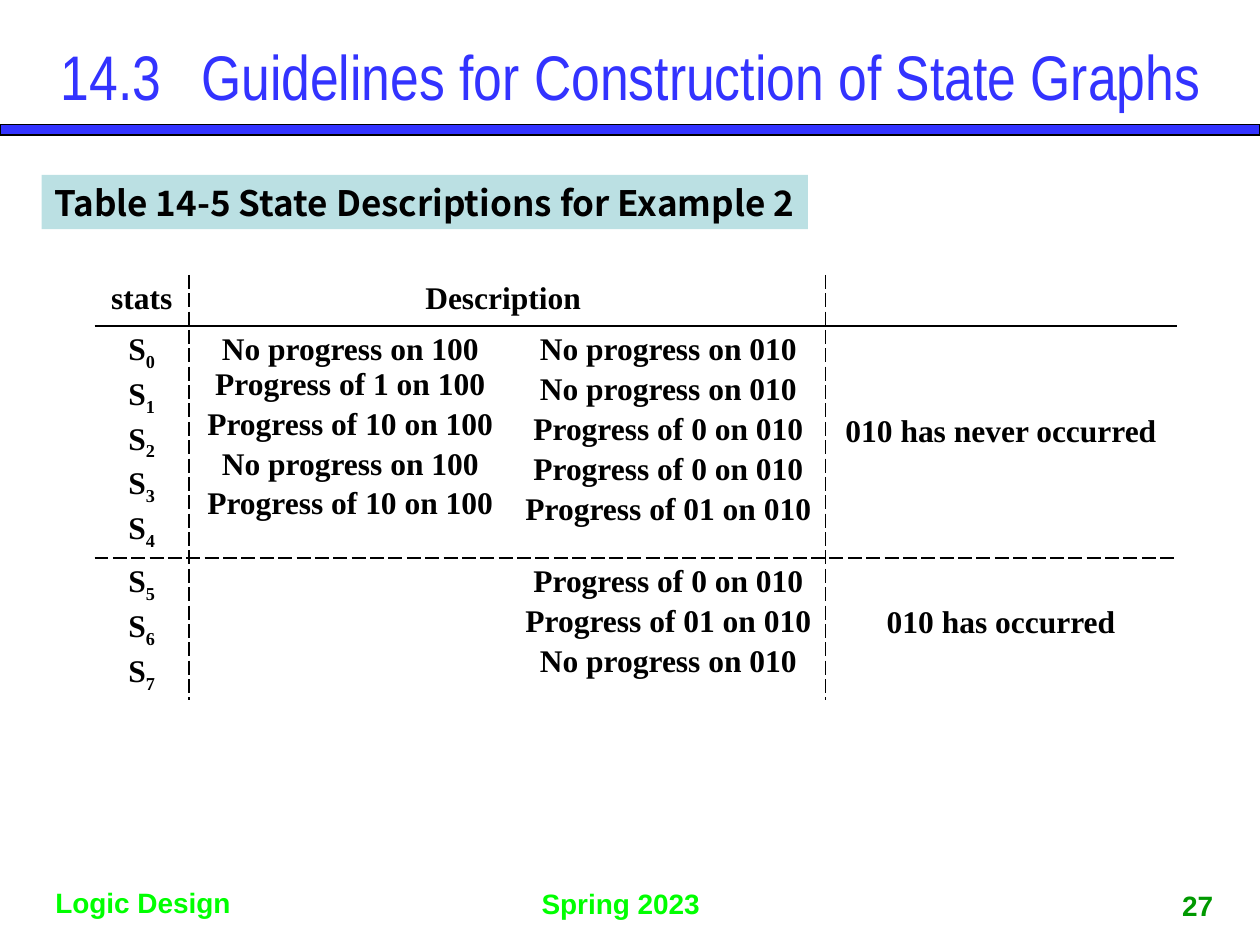
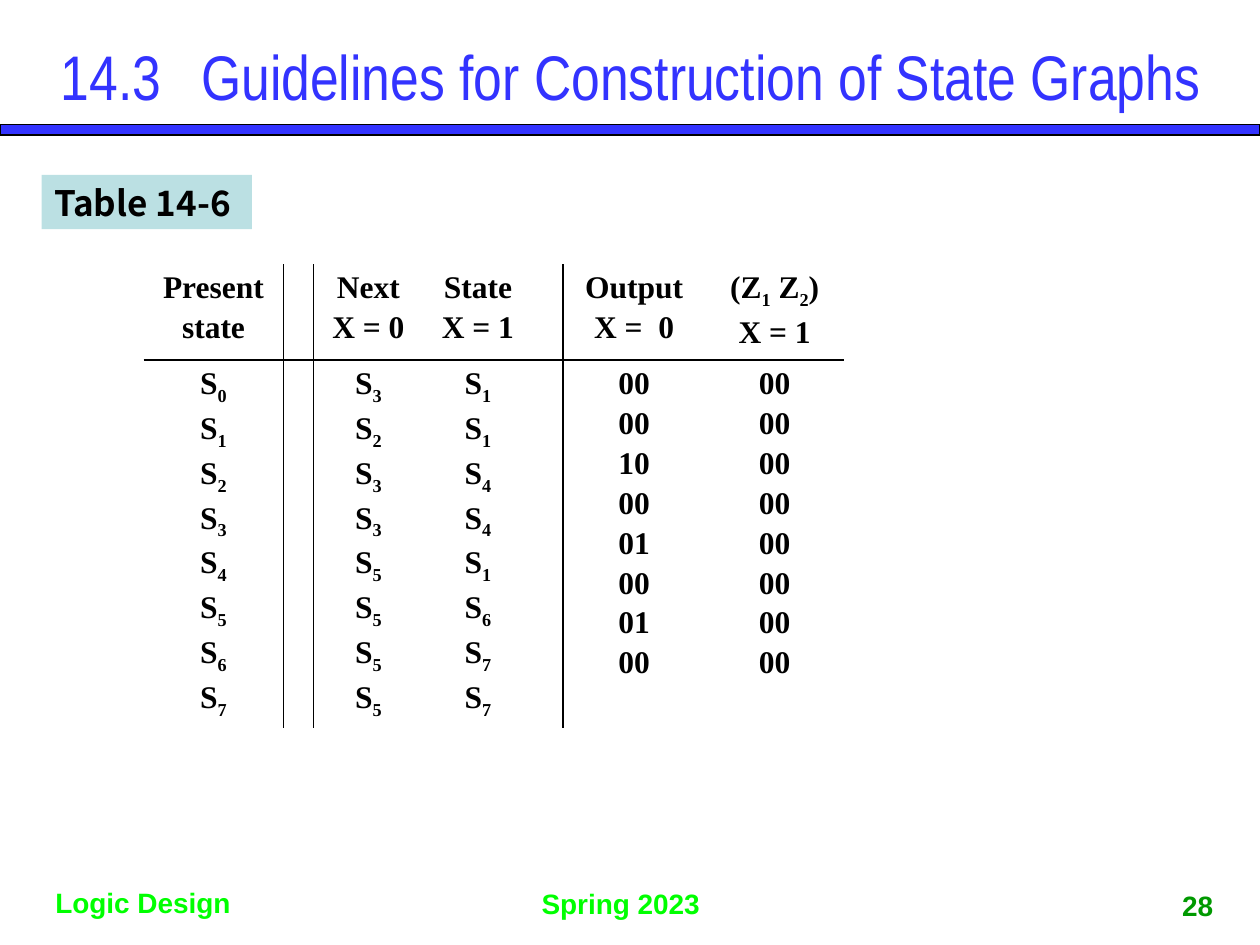
from dataclasses import dataclass, field
from typing import Any

from lxml.etree import SubElement as Sub
from pptx import Presentation
from pptx.dml.color import RGBColor as Rgb
from pptx.enum.shapes import MSO_SHAPE as Kind
from pptx.enum.text import MSO_ANCHOR as Anchor, MSO_AUTO_SIZE as Fit, PP_ALIGN as Align
from pptx.oxml.ns import qn
from pptx.util import Pt


@dataclass(frozen=True)
class Face:
    name: str
    size: float
    tint: str
    bold: bool = True


@dataclass(frozen=True)
class Theme:
    ink: str = "000000"
    band: str = "3333FF"
    tag: str = "BBE0E3"
    title: Face = Face("Arial Narrow", 36, "3333FF", False)
    label: Face = Face("Noto Sans CJK KR", 20, "000000")
    foot: Face = Face("Arial", 16, "00FF00")
    page: Face = Face("Arial", 16, "009900")
    cell: Face = Face("Times New Roman", 18, "000000")
    gap: float = 2.9
    rule: float = 1


@dataclass(frozen=True)
class Box:
    left: float
    top: float
    width: float
    height: float

    def spot(self) -> tuple:
        return tuple(Pt(v) for v in (self.left, self.top, self.width, self.height))


@dataclass(frozen=True)
class Note:
    text: str
    box: Box
    face: Face
    align: Any = Align.CENTER
    anchor: Any = Anchor.TOP


@dataclass(frozen=True)
class Grid:
    left: float
    top: float
    cols: list[float]
    rows: list[float]
    cells: list[list[list[str]]]
    walls: dict[int, str]
    floors: dict[int, str]
    spans: list[tuple] = field(default_factory=list)
    drops: dict[tuple, float] = field(default_factory=dict)


@dataclass(frozen=True)
class Page:
    num: int
    label: str
    wide: float
    grid: Grid


LOOK = Theme()
HEAD = "14.3\t Guidelines for Construction of State Graphs"
FEET = [
    Note("Spring 2023", Box(302.4, 503.3, 114.5, 26.6), LOOK.foot, Align.LEFT),
    Note("Logic Design", Box(19.4, 502.6, 124.6, 26.6), LOOK.foot),
]


def put(item: Any, vals: dict) -> None:
    for key, val in vals.items():
        setattr(item, key, val)


def style(font: Any, face: Face) -> None:
    put(font, {"name": face.name, "size": Pt(face.size), "bold": face.bold})
    font.color.rgb = Rgb.from_string(face.tint)


def write(frame: Any, note: Note) -> None:
    put(frame, {"auto_size": Fit.NONE, "word_wrap": True, "vertical_anchor": note.anchor})
    para = frame.paragraphs[0]
    put(para, {"text": note.text, "alignment": note.align})
    style(para.runs[0].font, note.face)


def add_note(slide: Any, note: Note) -> Any:
    shape = slide.shapes.add_textbox(*note.box.spot())
    write(shape.text_frame, note)
    return shape


def add_block(slide: Any, box: Box, tint: str) -> Any:
    shape = slide.shapes.add_shape(Kind.RECTANGLE, *box.spot())
    shape.shadow.inherit = False
    shape.fill.solid()
    shape.fill.fore_color.rgb = Rgb.from_string(tint)
    shape.line.fill.background()
    return shape


def share(slide: Any) -> None:
    band = add_block(slide, Box(0, 71.3, 720, 5.8), LOOK.band)
    band.line.color.rgb = Rgb.from_string(LOOK.ink)
    band.line.width = Pt(0.75)
    tree = slide.slide_layout.shapes.element
    for shape in [band, *(add_note(slide, note) for note in FEET)]:
        tree.append(shape.element)


def add_line(para: Any, text: str) -> None:
    first, *rest = text.split("_")
    parts = [(first, False)]
    for part in rest:
        parts += [(part[0], True), (part[1:], False)]
    for word, low in parts:
        if word:
            run = para.add_run()
            run.text = word
            style(run.font, LOOK.cell)
            if low:
                run.font._element.set("baseline", "-25000")


def fill_cell(cell: Any, lines: list[str]) -> None:
    frame = cell.text_frame
    for num, text in enumerate(lines):
        para = frame.add_paragraph() if num else frame.paragraphs[0]
        put(para, {"alignment": Align.CENTER, "space_before": Pt(LOOK.gap)})
        add_line(para, text)


def edge(cell: Any, side: str, dash: str | None) -> None:
    line = Sub(cell._tc.get_or_add_tcPr(), qn(f"a:ln{side}"), w=str(Pt(LOOK.rule)))
    if dash is None:
        Sub(line, qn("a:noFill"))
        return
    Sub(Sub(line, qn("a:solidFill")), qn("a:srgbClr"), val=LOOK.ink)
    Sub(line, qn("a:prstDash"), val=dash)


def add_grid(slide: Any, grid: Grid) -> None:
    box = Box(grid.left, grid.top, sum(grid.cols), sum(grid.rows))
    table = slide.shapes.add_table(len(grid.rows), len(grid.cols), *box.spot()).table
    put(table, {"first_row": False, "horz_banding": False})
    for col, wide in zip(table.columns, grid.cols):
        col.width = Pt(wide)
    for row, tall in zip(table.rows, grid.rows):
        row.height = Pt(tall)
    for start, end in grid.spans:
        table.cell(*start).merge(table.cell(*end))
    for r, line in enumerate(grid.cells):
        for c, text in enumerate(line):
            cell = table.cell(r, c)
            edge(cell, "L", grid.walls.get(c))
            edge(cell, "R", grid.walls.get(c + cell.span_width))
            edge(cell, "T", grid.floors.get(r))
            edge(cell, "B", grid.floors.get(r + 1))
            cell.fill.background()
            cell.margin_top = Pt(grid.drops.get((r, c), 3.6))
            fill_cell(cell, text)


def states(nums: str) -> list[str]:
    return [f"S_{num}" for num in nums]


NOTES = Grid(
    54, 157, [54, 184.3, 179.3, 200.9], [28.8, 132.5, 80.6],
    [
        [["stats"], ["Description "], [], []],
        [
            states("01234"),
            ["No progress on 100 Progress of 1 on 100", "Progress of 10 on 100",
             "No progress on 100", "Progress of 10 on 100"],
            ["No progress on 010", "No progress on 010", "Progress of 0 on 010",
             "Progress of 0 on 010", "Progress of 01 on 010"],
            ["010 has never occurred"],
        ],
        [
            states("567"),
            [],
            ["Progress of 0 on 010", "Progress of 01 on 010", "No progress on 010"],
            ["010 has occurred"],
        ],
    ],
    walls={1: "lgDash", 3: "lgDash"},
    floors={1: "solid", 2: "lgDash"},
    spans=[((0, 1), (0, 2))],
    drops={(1, 3): 50.8, (2, 3): 27.2},
)

MOVES = Grid(
    82, 151, [80, 16.6, 62.6, 62.6, 16.6, 81.4, 79.2], [54.7, 210.2],
    [
        [["Present", "state"], [], ["Next", "X = 0"], ["State", "X = 1"], [],
         ["Output", "X =  0"], ["(Z_1 Z_2)", "X = 1"]],
        [states("01234567"), [], states("32335555"), states("11441677"), [],
         ["00", "00", "10", "00", "01", "00", "01", "00"], ["00"] * 8],
    ],
    walls={1: "solid", 2: "solid", 5: "solid"},
    floors={1: "solid"},
)

PAGES = [
    Page(27, "Table 14-5 State Descriptions for Example 2", 437.8, NOTES),
    Page(28, "Table 14-6", 120.2, MOVES),
]


def add_page(deck: Any, page: Page) -> Any:
    slide = deck.slides.add_slide(deck.slide_layouts[5])
    head = Note(HEAD, Box(14.4, 20.2, 692, 45.4), LOOK.title, anchor=Anchor.MIDDLE)
    put(slide.shapes.title, dict(zip(("left", "top", "width", "height"), head.box.spot())))
    write(slide.shapes.title.text_frame, head)
    label = Note(page.label, Box(23.8, 100, page.wide, 31), LOOK.label, Align.LEFT, Anchor.MIDDLE)
    write(add_block(slide, label.box, LOOK.tag).text_frame, label)
    add_grid(slide, page.grid)
    add_note(slide, Note(str(page.num), Box(657.4, 496.8, 54, 33.8), LOOK.page, anchor=Anchor.BOTTOM))
    return slide


def main() -> None:
    deck = Presentation()
    put(deck, {"slide_width": Pt(720), "slide_height": Pt(540)})
    slides = [add_page(deck, page) for page in PAGES]
    share(slides[0])
    deck.save("out.pptx")


if __name__ == "__main__":
    main()
